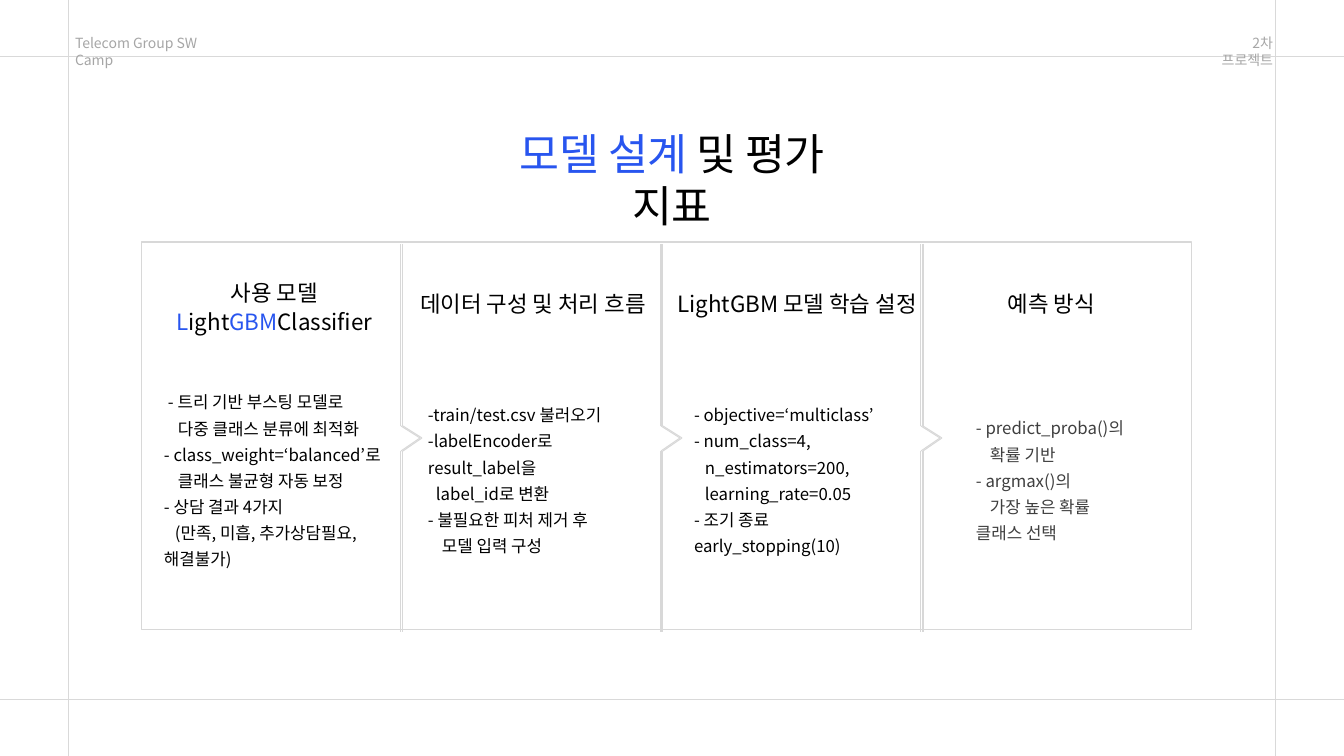
import lxml.etree
import pptx
import pptx.dml.color
import pptx.enum.shapes
import pptx.enum.text
import pptx.oxml.ns
import pptx.util

ALIGN = pptx.enum.text.PP_ALIGN
BLACK, BLUE, DARK, GREY = "000000", "2855EF", "3F3F3F", "A6A6A6"
GUIDE, EDGE, WHITE = "D9D9D9", "D8D8D8", "FFFFFF"


def px(n):
    """Turn pixels into EMU."""
    return pptx.util.Emu(round(n * 914400 / 100.8))


def rgb(code):
    """Turn a hex string into a colour."""
    return pptx.dml.color.RGBColor.from_string(code)


class Deck:
    """Holds the style and the current slide."""

    font = "Noto Sans CJK KR"

    def __init__(self, wide, high):
        """Open a deck with one blank slide."""
        self.deck = pptx.Presentation()
        self.deck.slide_width, self.deck.slide_height = px(wide), px(high)
        self.slide = self.deck.slides.add_slide(self.deck.slide_layouts[6])

    def line(self, x1, y1, x2, y2, color, width):
        """Draw a straight line."""
        kind = pptx.enum.shapes.MSO_CONNECTOR.STRAIGHT
        line = self.slide.shapes.add_connector(kind, px(x1), px(y1), px(x2), px(y2))
        line.line.color.rgb = rgb(color)
        line.line.width = pptx.util.Pt(width)
        props = line._element.spPr
        lxml.etree.SubElement(props, pptx.oxml.ns.qn("a:effectLst"))

    def rect(self, x, y, w, h, fill, edge):
        """Draw a framed box."""
        kind = pptx.enum.shapes.MSO_SHAPE.RECTANGLE
        box = self.slide.shapes.add_shape(kind, px(x), px(y), px(w), px(h))
        box.shadow.inherit = False
        box.fill.solid()
        box.fill.fore_color.rgb = rgb(fill)
        box.line.color.rgb = rgb(edge)
        box.line.width = pptx.util.Pt(0.75)

    def run(self, para, text, size, color, track):
        """Add one styled run."""
        run = para.add_run()
        run.text = text
        run.font.size = pptx.util.Pt(size)
        run.font.name = self.font
        run.font.color.rgb = rgb(color)
        props = run._r.get_or_add_rPr()
        east = lxml.etree.SubElement(props, pptx.oxml.ns.qn("a:ea"))
        east.set("typeface", self.font)
        if track:
            props.set("spc", str(track))

    def text(self, x, y, w, h, paras, size, align=ALIGN.LEFT, space=1.0, pad=(0, 0), track=0):
        """Add a text box from (indent, runs) paragraphs."""
        frame = self.slide.shapes.add_textbox(px(x), px(y), px(w), px(h)).text_frame
        frame.word_wrap = True
        frame.auto_size = pptx.enum.text.MSO_AUTO_SIZE.SHAPE_TO_FIT_TEXT
        frame.margin_left = frame.margin_right = px(pad[0])
        frame.margin_top = frame.margin_bottom = px(pad[1])
        for i, (indent, runs) in enumerate(paras):
            para = frame.add_paragraph() if i else frame.paragraphs[0]
            para.alignment = align
            para.line_spacing = space
            if indent:
                para._p.get_or_add_pPr().set("indent", str(px(indent)))
            for words, color in runs:
                self.run(para, words, size, color, track)

    def head(self, x, y, w, h, rows):
        """Add a column heading."""
        paras = [(0, runs) for runs in rows]
        self.text(x, y, w, h, paras, 16, ALIGN.CENTER, 1.1, (10, 5))

    def body(self, x, y, w, h, rows, color=BLACK):
        """Add the points of a column."""
        paras = [(indent, [(words, color)]) for indent, words in rows]
        self.text(x, y, w, h, paras, 12, space=1.3, pad=(10, 5))

    def split(self, x):
        """Draw a column edge with a notch."""
        spots = [(x, 244), (x, 426), (x + 19, 438), (x, 451), (x, 632)]
        for start, end in zip(spots, spots[1:]):
            self.line(*start, *end, EDGE, 0.75)


def main():
    """Build the slide."""
    deck = Deck(1344, 756)
    for y in (56, 699):
        deck.line(0, y, 1344, y, GUIDE, 0.5)
    for x in (68, 1275):
        deck.line(x, -2, x, 756, GUIDE, 0.5)
    deck.text(1210, 35, 63, 17, [(0, [("2차 프로젝트", GREY)])], 10, ALIGN.RIGHT)
    deck.text(75, 35, 153, 17, [(0, [("Telecom Group SW Camp", GREY)])], 10)

    deck.rect(142, 242, 1050, 388, WHITE, EDGE)
    for col in range(3):
        for gap in (2, 0):
            deck.split(401 + 260 * col + gap)

    deck.head(104, 271, 341, 70, [
        [("사용 모델", BLACK)],
        [("L", BLUE), ("ight", BLACK), ("GBM", BLUE), ("Classifier", BLACK)],
    ])
    for x, w, words in (
        (396, 274, "데이터 구성 및 처리 흐름"),
        (660, 274, "LightGBM 모델 학습 설정"),
        (974, 155, "예측 방식"),
    ):
        deck.head(x, 282, w, 40, [[(words, BLACK)]])

    deck.body(154, 381, 237, 169, [
        (4, "- 트리 기반 부스팅 모델로"),
        (14, "다중 클래스 분류에 최적화"),
        (0, "- class_weight=‘balanced’로"),
        (14, "클래스 불균형 자동 보정"),
        (0, "- 상담 결과 4가지"),
        (11, "(만족, 미흡, 추가상담필요, 해결불가)"),
    ])
    deck.body(418, 394, 235, 142, [
        (0, "-train/test.csv 불러오기"),
        (0, "-labelEncoder로 result_label을"),
        (8, "label_id로 변환"),
        (0, "- 불필요한 피처 제거 후"),
        (14, "모델 입력 구성"),
    ])
    deck.body(684, 394, 226, 142, [
        (0, "- objective=‘multiclass’"),
        (0, "- num_class=4,"),
        (11, "n_estimators=200,"),
        (11, "learning_rate=0.05"),
        (0, "- 조기 종료 early_stopping(10)"),
    ])
    deck.body(966, 407, 182, 116, [
        (0, "- predict_proba()의"),
        (14, "확률 기반"),
        (0, "- argmax()의"),
        (14, "가장 높은 확률 클래스 선택"),
    ], DARK)
    title = [("모델 설계 ", BLUE), ("및 평가 지표", BLACK)]
    deck.text(503, 127, 338, 52, [(0, title)], 31, ALIGN.CENTER, track=-30)
    deck.deck.save("out.pptx")


if __name__ == "__main__":
    main()
